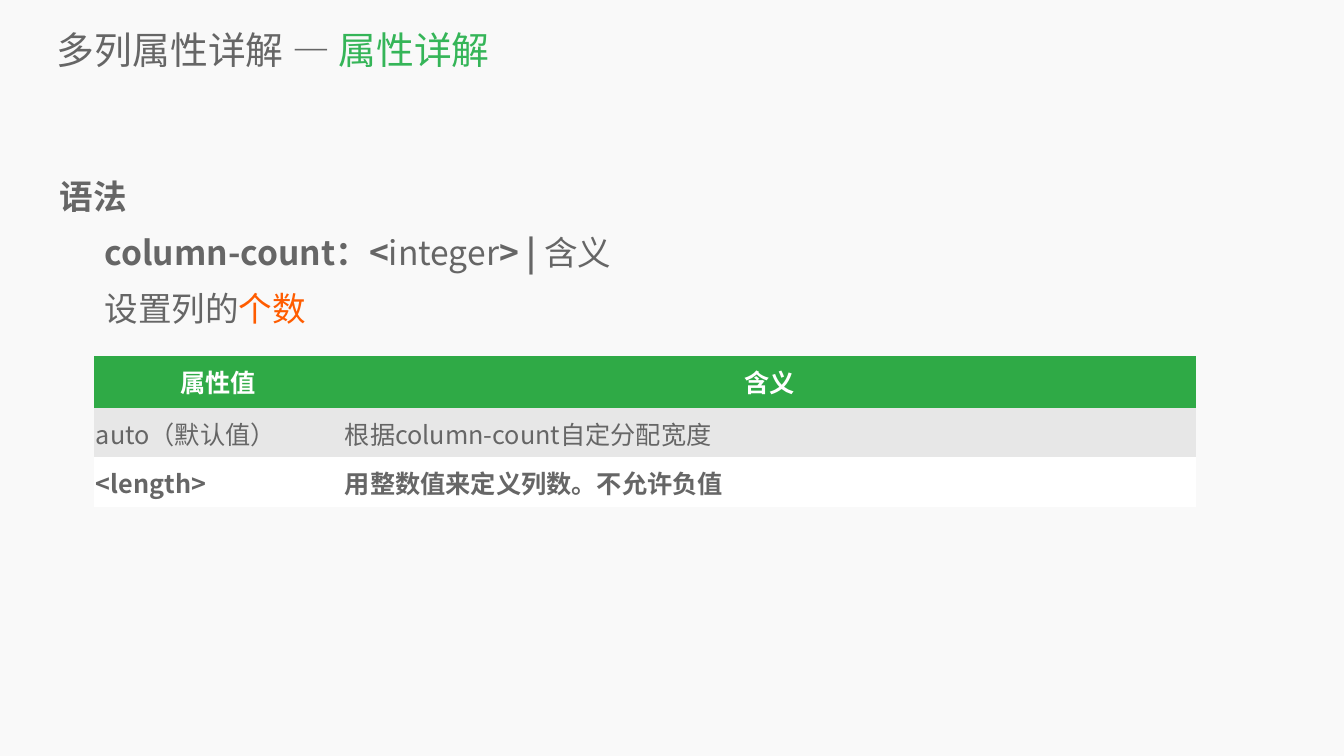
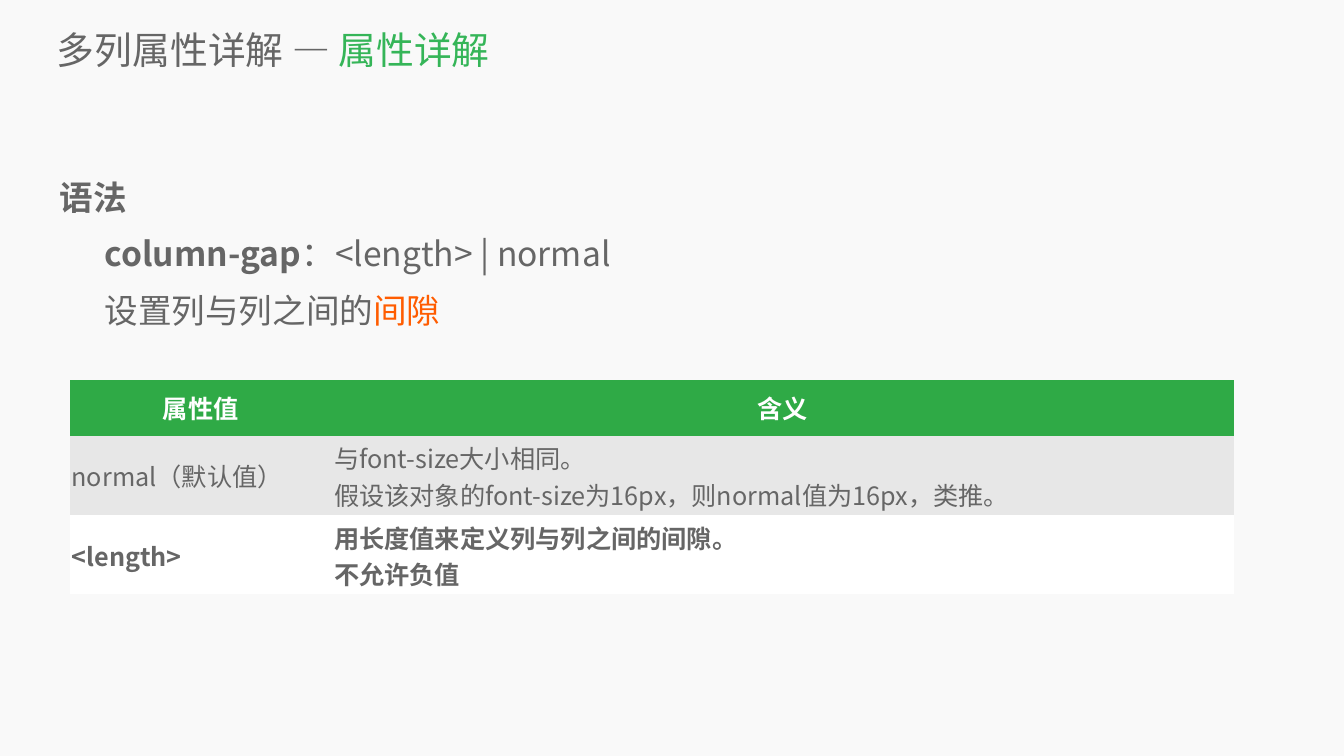
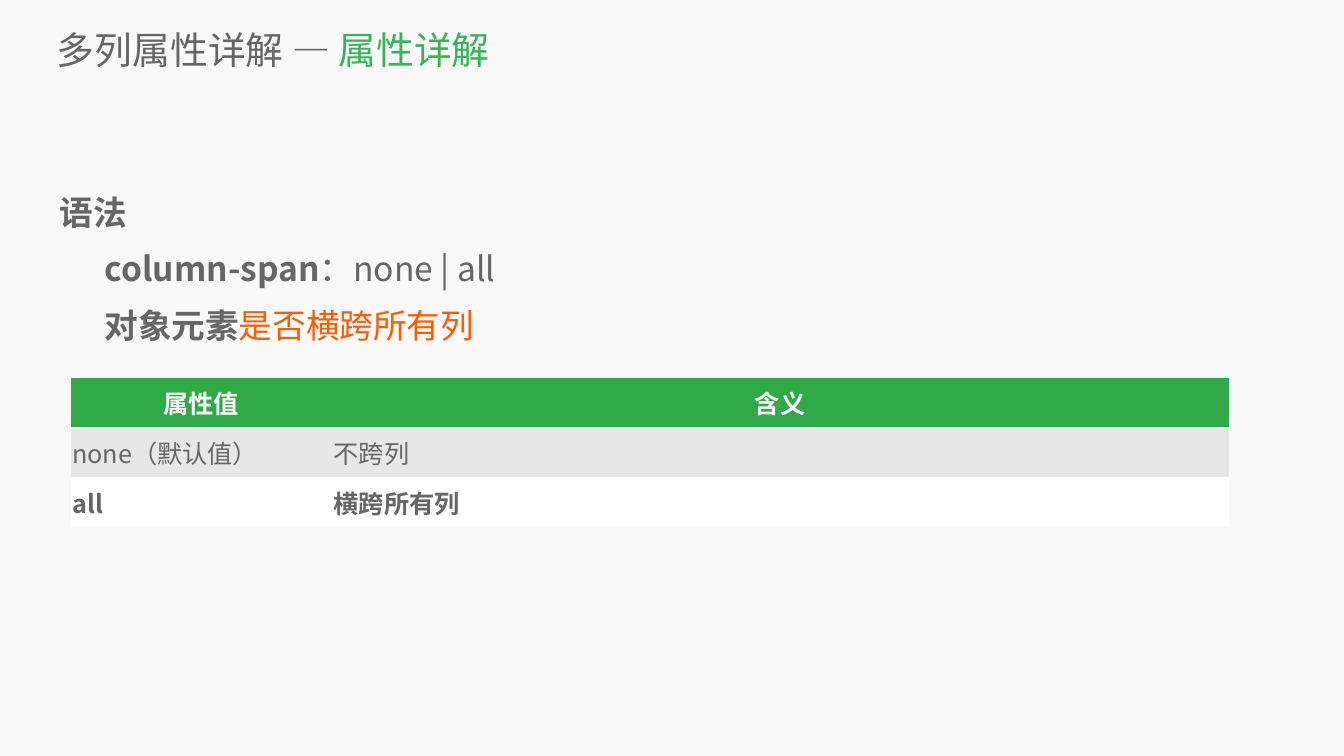
from lxml.etree import SubElement
from pptx import Presentation
from pptx.dml.color import RGBColor
from pptx.enum.text import MSO_ANCHOR as Anchor, MSO_AUTO_SIZE as AutoSize, PP_ALIGN as Align
from pptx.oxml.ns import qn
from pptx.util import Cm, Pt

FONT = "Noto Sans CJK SC"
COLORS = {
    "background": "F9F9F9",
    "text": "666666",
    "title_accent": "35B558",
    "highlight": "FF5C00",
    "header": "2FAA46",
    "band": "E7E7E7",
    "white": "FFFFFF",
}
NO_GRID_STYLE = "{2D5ABB26-0587-4C30-8999-92F81FD0307C}"

TITLE_BOX = {"left": 2.87, "top": 1.19, "width": 63.91, "height": 2.59}
BODY_BOX = {"left": 3.02, "top": 8.03, "width": 61.67, "height": 28.55}
BODY_INDENT = 2.25
NO_MARGINS = {"left": 0, "top": 0, "right": 0, "bottom": 0}
HEADER_MARGINS = {"left": 0.08, "top": 0.25, "right": 0.13, "bottom": 0.25}
CELL_MARGINS = {"left": 0.08, "top": 0.2, "right": 0.13, "bottom": 0.13}
NAME_MARGINS = {**CELL_MARGINS, "right": 0.25}

TITLE = [("多列属性详解 — ", "text", False), ("属性详解", "title_accent", False)]
HEADER = ("属性值", "含义")

# Runs are (text, color, bold); a table row is (value, lines of its meaning).
SLIDES = [
    {
        "body_top": 8.03,
        "syntax": [("column-count：<", "text", True), ("integer", "text", False),
                   ("> | ", "text", True), ("含义", "text", False)],
        "purpose": [("设置列的", "text", False), ("个数", "highlight", False)],
        "table": {"left": 4.75, "top": 17.93, "columns": (12.55, 43), "rows": (2.62, 2.49, 2.49)},
        "values": [("auto（默认值）", ["根据column-count自定分配宽度"]),
                   ("<length>", ["用整数值来定义列数。不允许负值"])],
    },
    {
        "body_top": 8.1,
        "syntax": [("column-gap", "text", True), ("：<length> | normal", "text", False)],
        "purpose": [("设置列与列之间的", "text", False), ("间隙", "highlight", False)],
        "table": {"left": 3.53, "top": 19.13, "columns": (13.23, 45.42), "rows": (2.82, 3.78, 3.78)},
        "values": [("normal（默认值）", ["与font-size大小相同。",
                                    "假设该对象的font-size为16px，则normal值为16px，类推。"]),
                   ("<length>", ["用长度值来定义列与列之间的间隙。", "不允许负值"])],
    },
    {
        "body_top": 8.86,
        "syntax": [("column-span", "text", True), ("：none | all", "text", False)],
        "purpose": [("对象元素", "text", True), ("是否横跨所有列", "highlight", False)],
        "table": {"left": 3.56, "top": 19.05, "columns": (13.18, 45.21), "rows": (2.49, 2.49, 2.49)},
        "values": [("none（默认值）", ["不跨列"]), ("all", ["横跨所有列"])],
    },
]


def rgb(name):
    return RGBColor.from_string(COLORS[name])


def set_box(shape, box):
    for name, length in box.items():
        setattr(shape, name, Cm(length))


def set_margins(target, margins):
    for side, length in margins.items():
        setattr(target, f"margin_{side}", Cm(length))


def add_run(paragraph, text, color, bold, size):
    run = paragraph.add_run()
    run.text = text
    for name, value in {"name": FONT, "size": Pt(size), "bold": bold}.items():
        setattr(run.font, name, value)
    run.font.color.rgb = rgb(color)
    SubElement(run.font._element, qn("a:ea"), typeface=FONT)


def write_paragraphs(text_frame, paragraphs, size, **formats):
    """Write one paragraph for each list of runs."""
    for index, runs in enumerate(paragraphs):
        paragraph = text_frame.paragraphs[0] if index == 0 else text_frame.add_paragraph()
        for name, value in formats.items():
            setattr(paragraph, name, value)
        for text, color, bold in runs:
            add_run(paragraph, text, color, bold, size)


def prepare_layout(presentation):
    """Set the background and the places of title and body for all slides."""
    fill = presentation.slide_master.background.fill
    fill.solid()
    fill.fore_color.rgb = rgb("background")
    layout = presentation.slide_layouts[0]
    title, body = layout.placeholders[0], layout.placeholders[1]
    for shape, box, anchor in ((title, TITLE_BOX, Anchor.MIDDLE), (body, BODY_BOX, Anchor.TOP)):
        set_box(shape, box)
        set_margins(shape.text_frame, NO_MARGINS)
        shape.text_frame.vertical_anchor = anchor
        shape.text_frame.auto_size = AutoSize.NONE
    return layout


def fill_body(body, top, syntax, purpose):
    set_box(body, {**BODY_BOX, "top": top})
    write_paragraphs(body.text_frame, [[("语法", "text", True)], syntax, purpose], 48,
                     alignment=Align.LEFT, line_spacing=1.4, space_before=Pt(0))
    for paragraph in body.text_frame.paragraphs[1:]:
        paragraph._p.get_or_add_pPr().set("marL", str(Cm(BODY_INDENT)))


def fill_cell(cell, lines, fill, color, bold, margins, alignment):
    cell.fill.solid()
    cell.fill.fore_color.rgb = rgb(fill)
    cell.vertical_anchor = Anchor.MIDDLE
    set_margins(cell, margins)
    write_paragraphs(cell.text_frame, [[(line, color, bold)] for line in lines], 36,
                     alignment=alignment)


def add_value_table(slide, left, top, columns, rows, values):
    frame = slide.shapes.add_table(len(rows), len(columns), Cm(left), Cm(top),
                                   Cm(sum(columns)), Cm(sum(rows)))
    table = frame.table
    table._tbl.tblPr.find(qn("a:tableStyleId")).text = NO_GRID_STYLE
    for column, width in zip(table.columns, columns):
        column.width = Cm(width)
    for row, height in zip(table.rows, rows):
        row.height = Cm(height)
    for index, text in enumerate(HEADER):
        fill_cell(table.cell(0, index), [text], "header", "white", True,
                  HEADER_MARGINS, Align.CENTER)
    row_styles = (("band", False), ("white", True))
    for index, ((value, meaning), (fill, bold)) in enumerate(zip(values, row_styles), 1):
        fill_cell(table.cell(index, 0), [value], fill, "text", bold, NAME_MARGINS, Align.LEFT)
        fill_cell(table.cell(index, 1), meaning, fill, "text", bold, CELL_MARGINS, Align.LEFT)


def add_property_slide(presentation, layout, content):
    slide = presentation.slides.add_slide(layout)
    write_paragraphs(slide.shapes.title.text_frame, [TITLE], 54, alignment=Align.LEFT)
    fill_body(slide.placeholders[1], content["body_top"], content["syntax"], content["purpose"])
    add_value_table(slide, **content["table"], values=content["values"])


def main():
    presentation = Presentation()
    presentation.slide_width, presentation.slide_height = Cm(67.74), Cm(38.1)
    layout = prepare_layout(presentation)
    for content in SLIDES:
        add_property_slide(presentation, layout, content)
    presentation.save("out.pptx")


if __name__ == "__main__":
    main()
